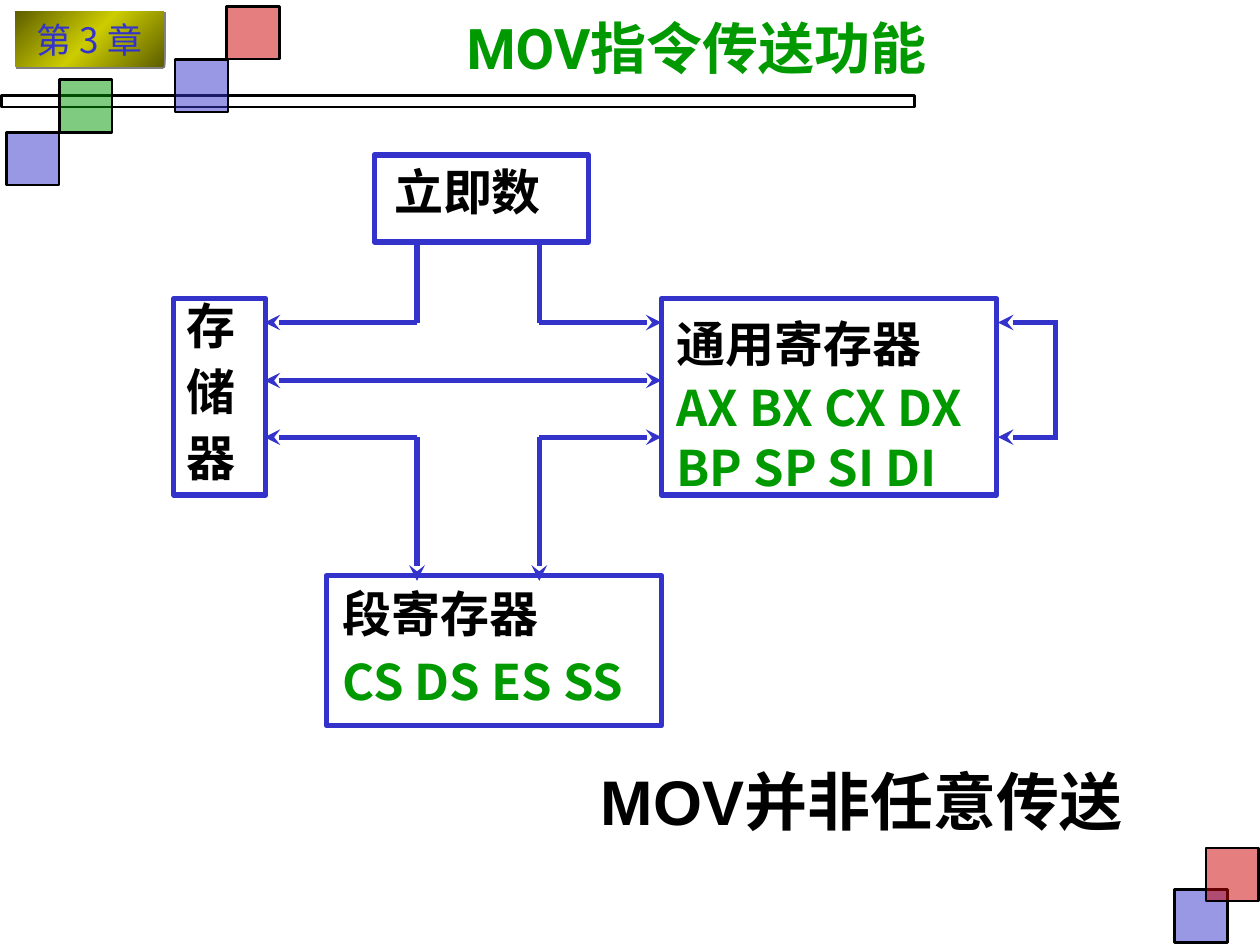
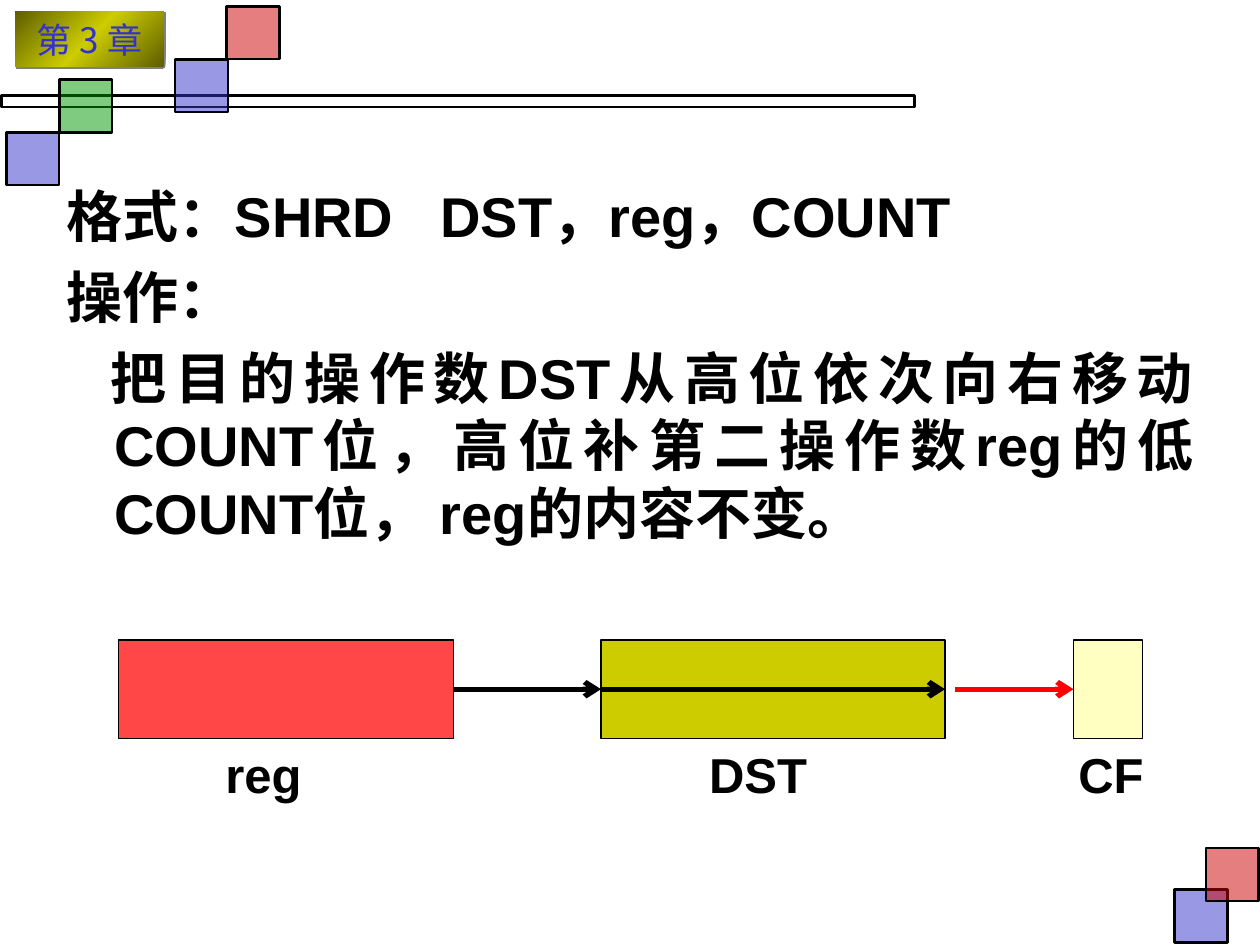
import dataclasses
import typing

import pptx
import pptx.dml.color
import pptx.enum.dml
import pptx.enum.shapes
import pptx.enum.text
import pptx.oxml
import pptx.oxml.ns
import pptx.util

WIDTH = pptx.util.Inches(10)
HEIGHT = pptx.util.Inches(7.5)
GRID_COLUMNS = 100
GRID_ROWS = 75

BLACK = pptx.dml.color.RGBColor(0x00, 0x00, 0x00)
BLUE = pptx.dml.color.RGBColor(0x33, 0x33, 0xCC)
CRIMSON = pptx.dml.color.RGBColor(0xCC, 0x00, 0x00)
GREEN = pptx.dml.color.RGBColor(0x00, 0x99, 0x00)
RED = pptx.dml.color.RGBColor(0xFF, 0x00, 0x00)
CORAL = pptx.dml.color.RGBColor(0xFF, 0x47, 0x47)
OLIVE = pptx.dml.color.RGBColor(0xCC, 0xCC, 0x00)
DARK_OLIVE = pptx.dml.color.RGBColor(0x5E, 0x5E, 0x00)
CREAM = pptx.dml.color.RGBColor(0xFF, 0xFF, 0xC2)
GRAY = pptx.dml.color.RGBColor(0x80, 0x80, 0x80)

SANS = "Arial"
SERIF = "Times New Roman"
TITLE_FONT = "Roboto"
CHINESE_FONT = "Noto Sans CJK SC"
CHAPTER_FONT = "Noto Sans CJK JP"

ALIGN = pptx.enum.text.PP_ALIGN
ANCHOR = pptx.enum.text.MSO_ANCHOR
SQUARE = 4.2
BOX_LINE = 3


class Area(typing.NamedTuple):
    left: float
    top: float
    width: float
    height: float


class Point(typing.NamedTuple):
    column: float
    row: float


@dataclasses.dataclass(frozen=True)
class Style:
    size: float
    font: str
    color: pptx.dml.color.RGBColor = BLACK
    bold: bool = True
    asian_font: str = TITLE_FONT


@dataclasses.dataclass(frozen=True)
class Para:
    spans: tuple[str, ...]
    style: Style
    align: typing.Optional[ALIGN] = None
    line_spacing: typing.Optional[float] = None
    before: float = 0
    margin: float = 0
    indent: float = 0


@dataclasses.dataclass(frozen=True)
class Route:
    start: Point
    end: Point
    head: str = ""
    tail: str = ""


CHAPTER = Style(20, CHAPTER_FONT, BLUE, False, CHAPTER_FONT)
TITLE = Style(32, TITLE_FONT, GREEN)
REMARK = Style(36, SANS)
BODY = Style(32, SANS)
LABEL = Style(28, SANS)
NODE = Style(28, SERIF)
REGISTERS = Style(28, CHINESE_FONT, GREEN)

WIDE_GAP = " "
WIDE_GAP_TRACKING = "1780"

CORNER_SQUARES = (
    (Point(93.2, 70.6), BLUE),
    (Point(95.7, 67.3), CRIMSON),
    (Point(13.9, 4.7), BLUE),
    (Point(0.5, 10.5), BLUE),
    (Point(4.7, 6.3), GREEN),
    (Point(18, 0.5), CRIMSON),
)

IMMEDIATE = Area(29.7, 12.3, 17, 6.9)
MEMORY = Area(13.8, 23.7, 7.3, 15.6)
GENERAL = Area(52.5, 23.7, 26.6, 15.6)
SEGMENT = Area(25.9, 45.7, 26.6, 11.9)

LEFT_LANE, RIGHT_LANE, LOOP_LANE = 33.1, 42.8, 83.8
UPPER, MIDDLE, LOWER = 25.6, 30.2, 34.7
IMMEDIATE_EDGE, SEGMENT_EDGE = 19.4, 46.1
MEMORY_EDGE, GENERAL_EDGE, LOOP_EDGE = 21, 52.5, 79.2

ROUTES = (
    Route(Point(LEFT_LANE, IMMEDIATE_EDGE), Point(LEFT_LANE, UPPER)),
    Route(Point(LEFT_LANE, UPPER), Point(MEMORY_EDGE, UPPER), tail="stealth"),
    Route(Point(MEMORY_EDGE, MIDDLE), Point(GENERAL_EDGE, MIDDLE), "stealth", "stealth"),
    Route(Point(LEFT_LANE, LOWER), Point(MEMORY_EDGE, LOWER), tail="stealth"),
    Route(Point(RIGHT_LANE, IMMEDIATE_EDGE), Point(RIGHT_LANE, UPPER)),
    Route(Point(RIGHT_LANE, UPPER), Point(GENERAL_EDGE, UPPER), tail="stealth"),
    Route(Point(LEFT_LANE, LOWER), Point(LEFT_LANE, SEGMENT_EDGE), tail="stealth"),
    Route(Point(RIGHT_LANE, LOWER), Point(GENERAL_EDGE, LOWER), tail="stealth"),
    Route(Point(LOOP_EDGE, UPPER), Point(LOOP_LANE + 0.2, UPPER), head="stealth"),
    Route(Point(LOOP_EDGE, LOWER), Point(LOOP_LANE + 0.2, LOWER), head="stealth"),
    Route(Point(LOOP_LANE, UPPER), Point(LOOP_LANE, LOWER)),
    Route(Point(RIGHT_LANE, LOWER), Point(RIGHT_LANE, SEGMENT_EDGE), tail="stealth"),
)


def columns(count: float) -> pptx.util.Emu:
    return pptx.util.Emu(round(WIDTH * count / GRID_COLUMNS))


def rows(count: float) -> pptx.util.Emu:
    return pptx.util.Emu(round(HEIGHT * count / GRID_ROWS))


def place(area: Area) -> tuple[pptx.util.Emu, ...]:
    return columns(area.left), rows(area.top), columns(area.width), rows(area.height)


def element(tag: str, attributes: str = "", inner: str = ""):
    namespace = pptx.oxml.ns.nsdecls("a")
    return pptx.oxml.parse_xml(f"<a:{tag} {namespace} {attributes}>{inner}</a:{tag}>")


def write(frame, paras: typing.Sequence[Para], anchor: ANCHOR = ANCHOR.TOP) -> None:
    frame.word_wrap = True
    frame.vertical_anchor = anchor
    for number, para in enumerate(paras):
        paragraph = frame.add_paragraph() if number else frame.paragraphs[0]
        paragraph.alignment = para.align
        paragraph.line_spacing = para.line_spacing
        paragraph.space_before = pptx.util.Pt(para.before if number else 0)
        if para.margin:
            properties = paragraph._p.get_or_add_pPr()
            properties.set("marL", str(columns(para.margin)))
            properties.set("indent", str(columns(para.indent)))
        for text in para.spans:
            span = paragraph.add_run()
            span.text = text
            span.font.size = pptx.util.Pt(para.style.size)
            span.font.bold = para.style.bold
            span.font.color.rgb = para.style.color
            span.font.name = para.style.font
            properties = span.font._element
            latin = properties.find(pptx.oxml.ns.qn("a:latin"))
            latin.addnext(element("ea", f'typeface="{para.style.asian_font}"'))
            if text == WIDE_GAP:
                properties.set("spc", WIDE_GAP_TRACKING)


def add_text(page, area: Area, *paras: Para) -> None:
    write(page.shapes.add_textbox(*place(area)).text_frame, paras)


def add_box(page, area: Area, fill=None, line=None, weight: float = 0, alpha: int = 100):
    box = page.shapes.add_shape(pptx.enum.shapes.MSO_SHAPE.RECTANGLE, *place(area))
    box.shadow.inherit = False
    if fill is None:
        box.fill.background()
    else:
        box.fill.solid()
        box.fill.fore_color.rgb = fill
        if alpha < 100:
            color = next(box._element.spPr.iter(pptx.oxml.ns.qn("a:srgbClr")))
            color.append(element("alpha", f'val="{alpha * 1000}"'))
    if line is None:
        box.line.fill.background()
    else:
        box.line.color.rgb = line
        box.line.width = pptx.util.Pt(weight)
    return box


def add_line(page, route: Route, color: pptx.dml.color.RGBColor):
    line = page.shapes.add_connector(
        pptx.enum.shapes.MSO_CONNECTOR.STRAIGHT,
        columns(route.start.column), rows(route.start.row),
        columns(route.end.column), rows(route.end.row),
    )
    line.line.color.rgb = color
    line.line.width = pptx.util.Pt(BOX_LINE)
    properties = line.line._get_or_add_ln()
    for tag, kind in (("headEnd", route.head), ("tailEnd", route.tail)):
        if kind:
            properties.append(element(tag, f'type="{kind}"'))
    line._element.spPr.append(element("effectLst"))
    return line


def add_chapter_plate(page) -> None:
    plate = add_box(page, Area(1.2, 0.9, 11.8, 4.4))
    stops = "".join(
        f'<a:gs pos="{position * 1000}"><a:srgbClr val="{color}"/></a:gs>'
        for position, color in ((0, DARK_OLIVE), (50, OLIVE), (100, DARK_OLIVE))
    )
    gradient = element(
        "gradFill", 'rotWithShape="1"',
        f'<a:gsLst>{stops}</a:gsLst><a:lin ang="2700000" scaled="1"/>',
    )
    properties = plate._element.spPr
    properties.replace(properties.find(pptx.oxml.ns.qn("a:noFill")), gradient)
    effects = properties.find(pptx.oxml.ns.qn("a:effectLst"))
    effects.append(element(
        "outerShdw", f'dist="{pptx.util.Pt(1.4)}" dir="2700000" algn="ctr" rotWithShape="0"',
        f'<a:srgbClr val="{GRAY}"/>',
    ))
    write(plate.text_frame, [Para(("第 3 章",), CHAPTER, ALIGN.CENTER)], ANCHOR.MIDDLE)


def add_page(deck, layout_name: str):
    page = deck.slides.add_slide(deck.slide_layouts.get_by_name(layout_name))
    add_box(page, Area(0.1, 7.6, 72.5, 0.9), line=BLACK, weight=1.5)
    for corner, color in CORNER_SQUARES:
        add_box(page, Area(*corner, SQUARE, SQUARE), color, BLACK, 1.5, alpha=50)
    add_chapter_plate(page)
    return page


def node_para(text: str, style: Style = NODE, spacing: typing.Optional[float] = None) -> Para:
    return Para((text,), style, line_spacing=spacing, before=17.5)


def build_transfer_page(deck) -> None:
    page = add_page(deck, "Title Only")
    title = page.shapes.title
    title.left, title.top, title.width, title.height = place(Area(22.4, 0.6, 65.8, 6.2))
    write(title.text_frame, [Para(("MOV指令传送功能",), TITLE, ALIGN.CENTER)], ANCHOR.MIDDLE)
    add_text(page, Area(46.7, 60, 50.8, 7.5),
             Para(("MOV并非任意传送",), REMARK, ALIGN.JUSTIFY, margin=3.8, indent=-3.8))
    for area in (IMMEDIATE, MEMORY, GENERAL, SEGMENT):
        add_box(page, area, line=BLUE, weight=BOX_LINE)
    for route in ROUTES:
        add_line(page, route, BLUE)
    add_text(page, Area(30.3, 12.3, 15.1, 5.7), node_para("立即数"))
    add_text(page, Area(26.2, 45.8, 25.9, 13.7),
             node_para("段寄存器"), node_para("CS DS ES SS", REGISTERS, 0.6))
    add_text(page, Area(52.7, 24.4, 26.3, 19.9), node_para("通用寄存器"),
             *(node_para(names, REGISTERS, 0.5) for names in ("AX BX CX DX", "BP SP SI DI")))
    add_text(page, Area(13.8, 24.6, 5.8, 14.3),
             *(node_para(character, spacing=0.6) for character in "存储器"))


def build_shift_page(deck) -> None:
    page = add_page(deck, "Blank")
    paragraphs = (
        (("格式：SHRD", WIDE_GAP, "DST，reg，COUNT"), -3.8),
        (("操作：",), -3.8),
        (("把目的操作数DST从高位依次向右移动COUNT位，高位补第二操作数reg的低COUNT位， reg的内容不变。",), -0.3),
    )
    add_text(page, Area(4.3, 13.9, 91.4, 32),
             *(Para(spans, BODY, ALIGN.JUSTIFY, before=8, margin=3.8, indent=indent)
               for spans, indent in paragraphs))

    top, height = 50.8, 7.8
    center = top + height / 2
    source, target, carry = (
        add_box(page, Area(left, top, width, height), fill, BLACK, 0.75)
        for left, width, fill in ((9.4, 26.6, CORAL), (47.7, 27.3, OLIVE), (85.2, 5.5, CREAM))
    )
    for name, left in (("reg", 16.9), ("DST", 55.3), ("CF", 84.6)):
        add_text(page, Area(left, top + height, 11, 5.6), Para((name,), LABEL))

    arrows = (
        (36, 47.7, BLACK, (source, 3), (target, 1)),
        (47.7, 75, BLACK, (target, 1), (target, 3)),
        (75.8, 85.2, RED, None, (carry, 1)),
    )
    for start, end, color, origin, goal in arrows:
        arrow = add_line(page, Route(Point(start, center), Point(end, center), tail="arrow"), color)
        if origin:
            arrow.begin_connect(*origin)
        arrow.end_connect(*goal)


def main() -> None:
    deck = pptx.Presentation()
    deck.slide_width, deck.slide_height = WIDTH, HEIGHT
    build_transfer_page(deck)
    build_shift_page(deck)
    deck.save("out.pptx")


if __name__ == "__main__":
    main()
